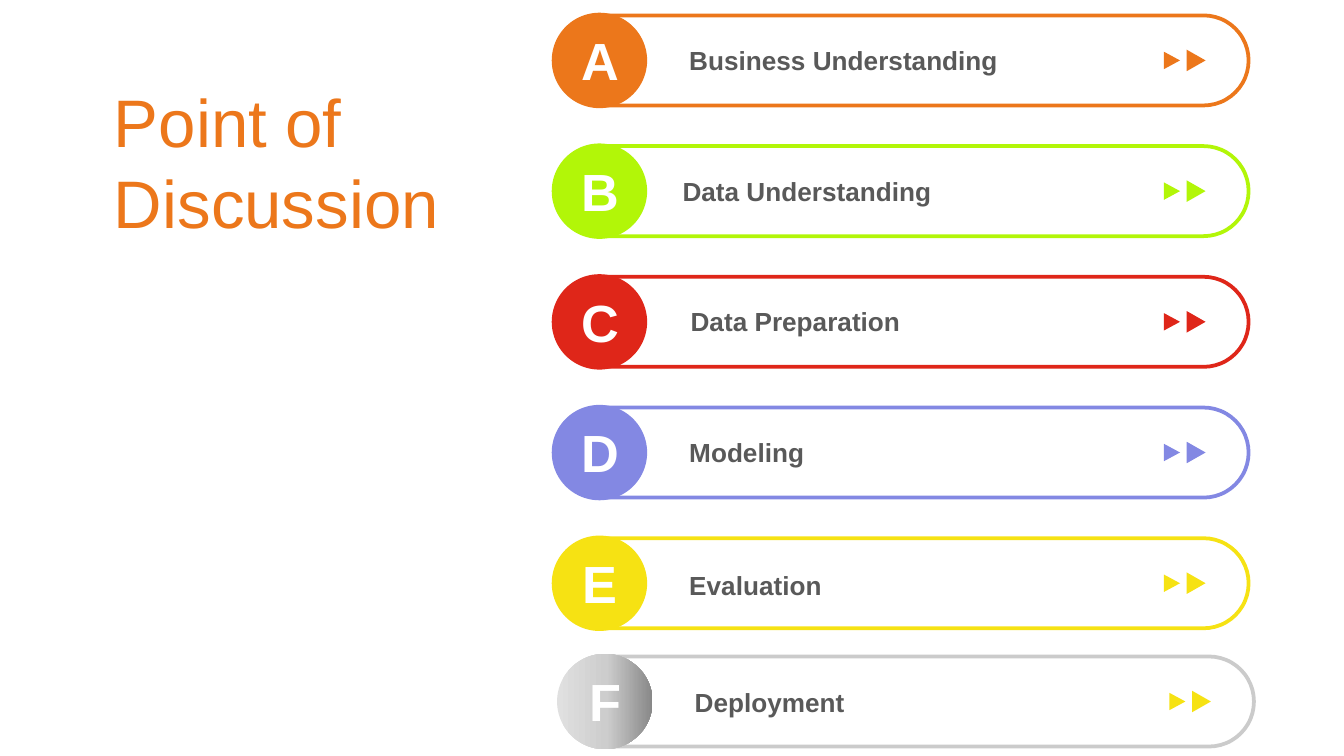
from copy import deepcopy
from pptx import Presentation
from pptx.util import Inches, Pt
from pptx.dml.color import RGBColor
from pptx.enum.shapes import MSO_SHAPE
from pptx.enum.text import MSO_ANCHOR, PP_ALIGN
from pptx.oxml.ns import qn

BAR = MSO_SHAPE.ROUND_2_SAME_RECTANGLE
DISC = MSO_SHAPE.OVAL
ARROW = MSO_SHAPE.ISOSCELES_TRIANGLE
LEFT, CENTER = PP_ALIGN.LEFT, PP_ALIGN.CENTER
TOP, MIDDLE = MSO_ANCHOR.TOP, MSO_ANCHOR.MIDDLE

# Slide in 16:9
deck = Presentation()
deck.slide_width = Inches(10)
deck.slide_height = deck.slide_width * 9 // 16
slide = deck.slides.add_slide(deck.slide_layouts[6])


def draw(kind, x, y, w, h, fill, line=None, turn=0):
    """Add a shape centred on x, y."""
    shape = slide.shapes.add_shape(
        kind, Inches(x - w / 2), Inches(y - h / 2), Inches(w), Inches(h))
    shape.shadow.inherit = False
    shape.rotation = turn
    shape.fill.solid()
    shape.fill.fore_color.rgb = RGBColor.from_string(fill)
    if line:
        shape.line.color.rgb = RGBColor.from_string(line)
        shape.line.width = Pt(2)
    else:
        shape.line.fill.background()
    return shape


def write(text, x, y, w, h, size, color, bold=True, align=LEFT,
          anchor=TOP, wrap=True, before=0):
    """Add a text box with its top left corner at x, y."""
    box = slide.shapes.add_textbox(Inches(x), Inches(y), Inches(w), Inches(h))
    frame = box.text_frame
    frame.word_wrap = wrap
    frame.vertical_anchor = anchor
    para = frame.paragraphs[0]
    para.alignment = align
    para.space_before = Pt(before)
    run = para.add_run()
    run.text = text
    run.font.name = "Arial"
    run.font.size = Pt(size)
    run.font.bold = bold
    run.font.color.rgb = RGBColor.from_string(color)


# Title
write("Point of Discussion", 0.75, 0.53, 2.83, 1.34, 36, "EC771B",
      bold=False, anchor=MIDDLE, before=7.2)

# Rows: letter, label, main color, arrow color, middle, shift, label nudge x, y
FIRST, FIFTH = 0.45, 4.34
STEP = (FIFTH - FIRST) / 4
rows = [
    ("A", "Business Understanding", "EC771B", "EC771B", FIRST, 0, 0, 0),
    ("B", "Data Understanding", "B2F608", "B2F608", FIRST + STEP, 0, -0.05, 0),
    ("C", "Data Preparation", "DF2619", "DF2619", FIRST + 2 * STEP, 0, 0.01, 0),
    ("D", "Modeling", "8388E3", "8388E3", FIRST + 3 * STEP, 0, 0, 0),
    ("E", "Evaluation", "F6E213", "F6E213", FIFTH, 0, 0, 0.02),
    ("F", "Deployment", "CBCBCB", "F6E213", 5.22, 0.04, 0, 0.01),
]
for letter, label, color, tip, mid, shift, dx, dy in rows:
    # Bar with its round end on the right
    bar = draw(BAR, 6.89 + shift, mid, 0.67, 4.8, "FFFFFF", color, turn=90)
    bar.adjustments[0], bar.adjustments[1] = 0.5, 0
    # Disc and letter
    disc = draw(DISC, 4.46 + shift, mid, 0.71, 0.71, color)
    write(letter, 4.22 + shift, mid - 0.29, 0.49, 0.57, 28, "FFFFFF",
          align=CENTER, anchor=MIDDLE, wrap=False)
    # Label
    write(label, 5.03 + shift + dx, mid - 0.17 + dy, 3.08, 0.34, 14, "595959")
    # Arrow pair
    for x, w, h in ((8.72, 0.13, 0.12), (8.9, 0.16, 0.14)):
        draw(ARROW, x + shift, mid, w, h, tip, turn=90)

# Gray fade on the last disc
disc.fill.gradient()
disc.fill.gradient_angle = 0
stop = next(disc.element.iter(qn("a:gs")))
stop.addnext(deepcopy(stop))
fade = ((0, "E0E0E0"), (0.52, "CDCDCD"), (1, "888888"))
for stop, (place, gray) in zip(disc.fill.gradient_stops, fade):
    stop.position = place
    stop.color.rgb = RGBColor.from_string(gray)

deck.save("out.pptx")
